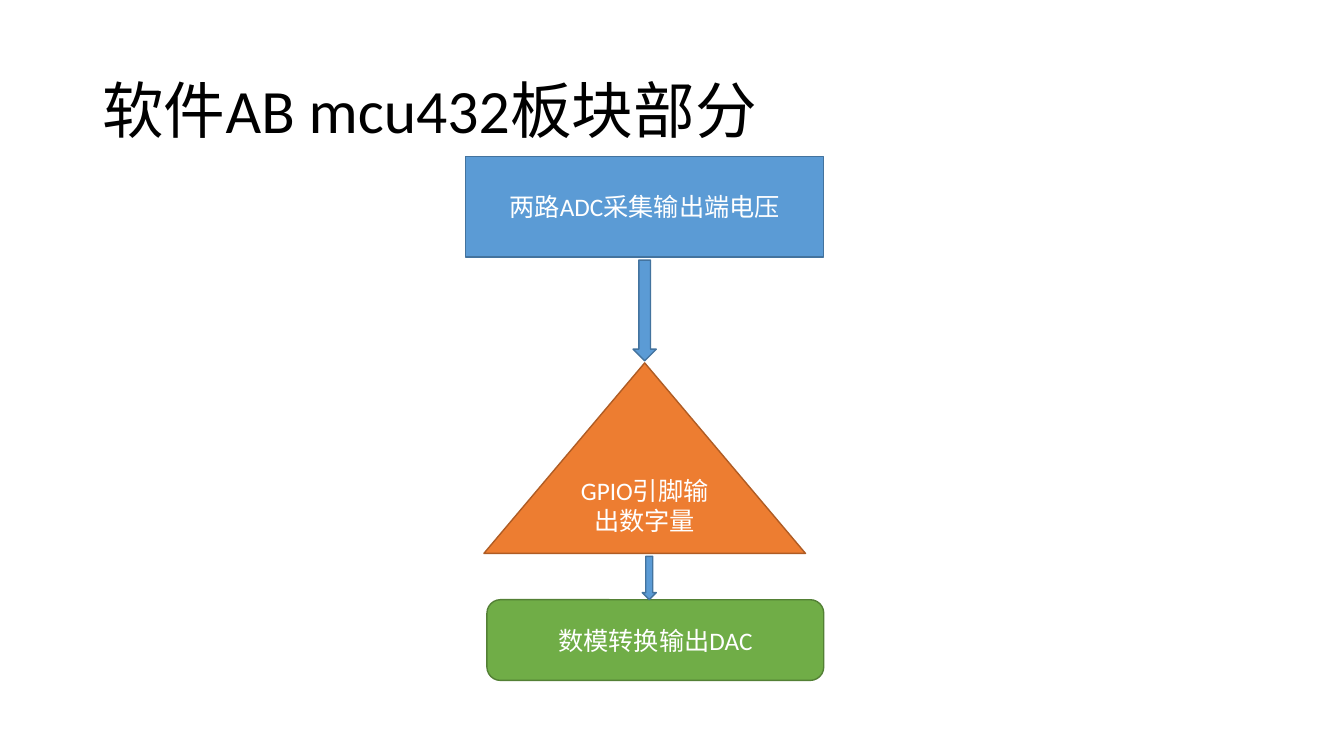
from dataclasses import dataclass

from pptx import Presentation
from pptx.dml.color import RGBColor
from pptx.enum.shapes import MSO_SHAPE
from pptx.enum.text import MSO_ANCHOR, PP_ALIGN
from pptx.util import Inches, Pt

SLIDE_WIDTH = Inches(13.33)
SLIDE_HEIGHT = Inches(7.5)


@dataclass(frozen=True)
class Theme:
    font: str = "Calibri"
    title_size: int = 44
    label_size: int = 18
    line_width: int = 1
    title_color: str = "000000"
    label_color: str = "FFFFFF"
    # Each pair is fill and outline
    blue: tuple = ("5B9BD5", "43739E")
    orange: tuple = ("ED7D31", "AF5C24")
    green: tuple = ("70AD47", "538035")


THEME = Theme()


def place(center, top, width, height):
    """Turn percentages of the slide into left, top, width and height."""
    return (
        round(SLIDE_WIDTH * (center - width / 2) / 100),
        round(SLIDE_HEIGHT * top / 100),
        round(SLIDE_WIDTH * width / 100),
        round(SLIDE_HEIGHT * height / 100),
    )


def write(shape, text, size, color, alignment):
    text_frame = shape.text_frame
    text_frame.text = text
    text_frame.word_wrap = True
    text_frame.vertical_anchor = MSO_ANCHOR.MIDDLE
    paragraph = text_frame.paragraphs[0]
    paragraph.alignment = alignment
    font = paragraph.runs[0].font
    font.name = THEME.font
    font.size = Pt(size)
    font.color.rgb = RGBColor.from_string(color)
    return paragraph


def add_title(slide, text, area):
    text_box = slide.shapes.add_textbox(*place(*area))
    paragraph = write(text_box, text, THEME.title_size, THEME.title_color, PP_ALIGN.LEFT)
    paragraph.line_spacing = 0.9


def add_block(slide, kind, area, colors, label=""):
    shape = slide.shapes.add_shape(kind, *place(*area))
    shape.shadow.inherit = False
    fill, outline = colors
    shape.fill.solid()
    shape.fill.fore_color.rgb = RGBColor.from_string(fill)
    shape.line.color.rgb = RGBColor.from_string(outline)
    shape.line.width = Pt(THEME.line_width)
    if label:
        write(shape, label, THEME.label_size, THEME.label_color, PP_ALIGN.CENTER)


def add_arrow(slide, area):
    add_block(slide, MSO_SHAPE.DOWN_ARROW, area, THEME.blue)


def main():
    presentation = Presentation()
    presentation.slide_width = SLIDE_WIDTH
    presentation.slide_height = SLIDE_HEIGHT
    slide = presentation.slides.add_slide(presentation.slide_layouts[6])

    # Areas are center, top, width and height in percent of the slide
    add_title(slide, "软件AB mcu432板块部分", (50, 5.33, 86.25, 19.33))

    # Flow steps from top to bottom
    axis = 47.97
    add_block(slide, MSO_SHAPE.RECTANGLE, (axis, 20.67, 26.63, 13.33),
              THEME.blue, "两路ADC采集输出端电压")
    add_block(slide, MSO_SHAPE.ISOSCELES_TRIANGLE, (axis, 48, 23.93, 25.2),
              THEME.orange, "GPIO引脚输出数字量")
    add_block(slide, MSO_SHAPE.ROUNDED_RECTANGLE, (48.76, 79.33, 25.06, 10.67),
              THEME.green, "数模转换输出DAC")

    # Arrows between the steps
    add_arrow(slide, (axis, 34.4, 1.73, 13.33))
    add_arrow(slide, (48.31, 73.6, 1.05, 5.73))

    presentation.save("out.pptx")


if __name__ == "__main__":
    main()
